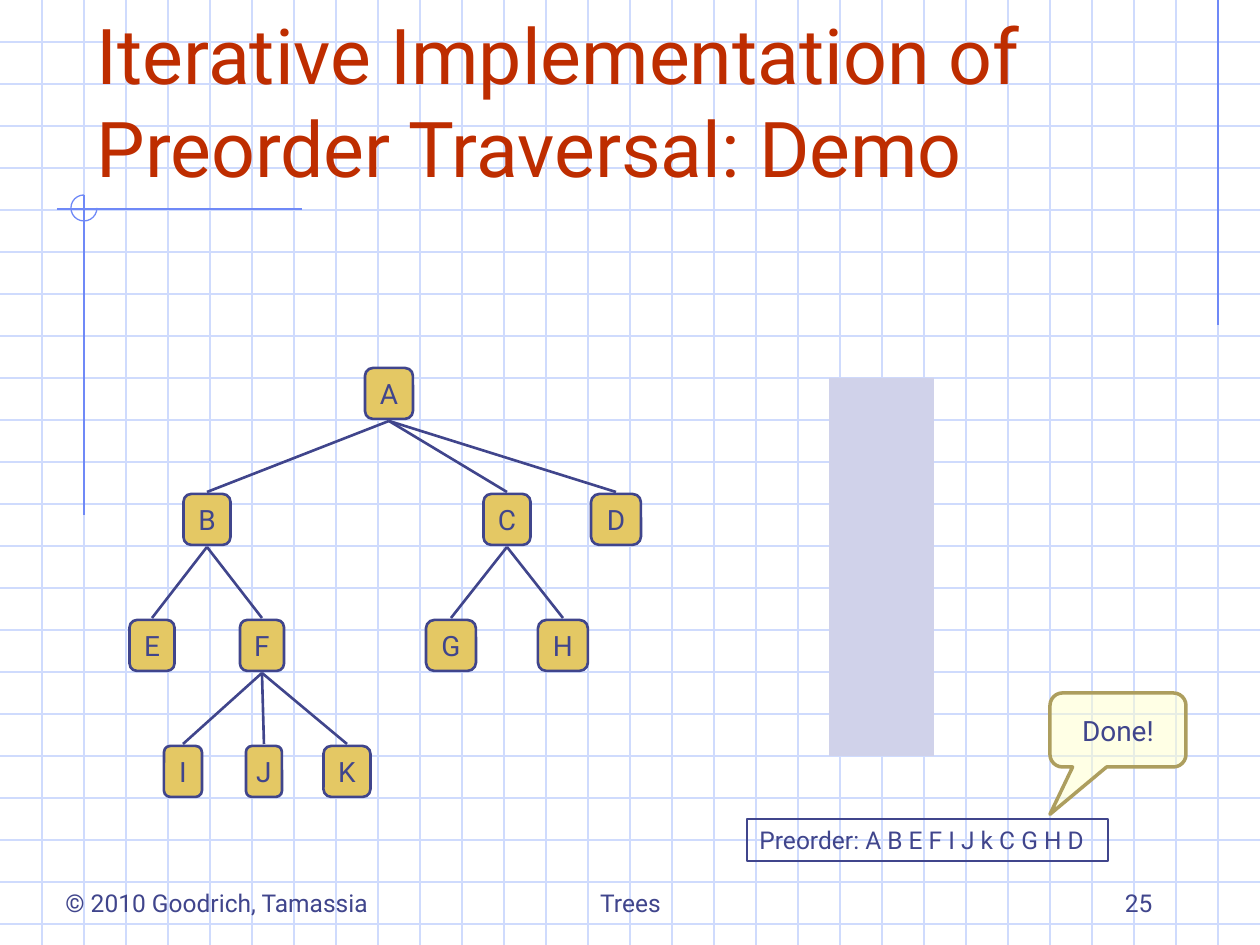
from pptx import Presentation
from pptx.dml.color import RGBColor
from pptx.enum.shapes import MSO_CONNECTOR, MSO_SHAPE
from pptx.enum.text import MSO_ANCHOR, MSO_AUTO_SIZE, PP_ALIGN
from pptx.oxml.ns import qn
from pptx.util import Emu, Pt
from lxml.etree import SubElement

# Content
TITLE = "Iterative Implementation of Preorder Traversal: Demo"
ORDER = "Preorder: A B E F I J k C G H D"
# name: (center x, width, level)
NODES = {
    "A": (389, 48, 0),
    "B": (207, 47, 1), "C": (507, 47, 1), "D": (616, 50, 1),
    "E": (152, 45, 2), "F": (262, 44, 2),
    "G": (451, 50, 2), "H": (563, 50, 2),
    "I": (183, 38, 3), "J": (264, 36, 3), "K": (347, 47, 3),
}
KIDS = {"A": "BCD", "B": "EF", "C": "GH", "F": "IJK"}
# text, left, width, alignment
FOOT = [
    ("© 2010 Goodrich, Tamassia", 53, 346, PP_ALIGN.LEFT),
    ("Trees", 431, 399, PP_ALIGN.CENTER),
    ("25", 903, 262, PP_ALIGN.RIGHT),
]
# Accent lines: x1, y1, x2, y2
RULES = [(1218, 0, 1218, 325), (57, 209, 302, 209), (84, 195, 84, 515)]

INK, RED, GOLD = "40458C", "BE2D00", "E4C864"
GRID, BLUE, STACK = "CFDBFD", "6F89F7", "D0D2EA"
CREAM, TAN = "FFFFCC", "AD9E5E"
FONT = "Roboto"
WIDE, HIGH, STEP = 1260, 945, 42
TOP, GAP, TALL = 368, 126, 51


def px(n):
    return Emu(round(n * 914400 / 126))


def rgb(code):
    return RGBColor.from_string(code)


prs = Presentation()
prs.slide_width, prs.slide_height = px(WIDE), px(HIGH)
slide = prs.slides.add_slide(prs.slide_layouts[5])
shapes = slide.shapes


def line(x1, y1, x2, y2, color, width=0.75):
    link = shapes.add_connector(MSO_CONNECTOR.STRAIGHT, px(x1), px(y1), px(x2), px(y2))
    link.line.color.rgb = rgb(color)
    link.line.width = Pt(width)
    SubElement(link._element.spPr, qn("a:effectLst"))


def shape(kind, x, y, w, h, fill=None, edge=None, width=0.75):
    part = shapes.add_shape(kind, px(x), px(y), px(w), px(h))
    part.shadow.inherit = False
    if fill:
        part.fill.solid()
        part.fill.fore_color.rgb = rgb(fill)
    else:
        part.fill.background()
    if edge:
        part.line.color.rgb = rgb(edge)
        part.line.width = Pt(width)
    else:
        part.line.fill.background()
    return part


def write(part, text, size, color=INK, align=PP_ALIGN.CENTER,
          anchor=MSO_ANCHOR.MIDDLE, wrap=True):
    frame = part.text_frame
    frame.text = text
    frame.word_wrap = wrap
    frame.auto_size = MSO_AUTO_SIZE.NONE
    frame.vertical_anchor = anchor
    para = frame.paragraphs[0]
    para.alignment = align
    para.font.name, para.font.size = FONT, Pt(size)
    para.font.color.rgb = rgb(color)


# Background grid and accents
for y in range(STEP, HIGH, STEP):
    line(0, y, WIDE, y, GRID)
for x in range(STEP, WIDE, STEP):
    line(x, 0, x, HIGH, GRID)
for rule in RULES:
    line(*rule, BLUE)
arc = shape(MSO_SHAPE.ARC, 71, 195, 26, 26, edge=BLUE)
arc.adjustments[0], arc.adjustments[1] = 0, 162  # 0 to 270 degrees

# Title, lifted above the grid
title = shapes.title
title.left, title.top, title.width, title.height = map(px, (84, 42, 1071, 157))
write(title, TITLE, 44, RED, PP_ALIGN.LEFT, MSO_ANCHOR.BOTTOM)
shapes._spTree.append(title._element)

# Footer
for text, x, w, align in FOOT:
    box = shapes.add_textbox(px(x), px(861), px(w), px(63))
    write(box, text, 14, align=align, anchor=MSO_ANCHOR.BOTTOM)

# Tree nodes, then edges
for name, (mid, w, level) in NODES.items():
    node = shape(MSO_SHAPE.ROUNDED_RECTANGLE, mid - w / 2, TOP + level * GAP,
                 w, TALL, GOLD, INK, 1.5)
    write(node, name, 16, wrap=False)
for name, kids in KIDS.items():
    x, _, level = NODES[name]
    y = TOP + level * GAP
    for kid in kids:
        line(x, y + TALL + 2, NODES[kid][0], y + GAP - 2, INK, 1.5)

# Empty stack, visit order and callout
shape(MSO_SHAPE.RECTANGLE, 829, 378, 105, 378, STACK)
order = shape(MSO_SHAPE.RECTANGLE, 747, 819, 361, 42, edge=INK)
write(order, ORDER, 14, align=PP_ALIGN.LEFT, anchor=MSO_ANCHOR.TOP)
done = shape(MSO_SHAPE.ROUNDED_RECTANGULAR_CALLOUT, 1050, 693, 136, 74, CREAM, TAN, 2)
for i, value in enumerate((-0.5, 1.14, 0.17)):
    done.adjustments[i] = value
tint = done._element.spPr.find(qn("a:solidFill")).find(qn("a:srgbClr"))
SubElement(tint, qn("a:alpha"), val="50000")
write(done, "Done!", 16)

prs.save("out.pptx")
